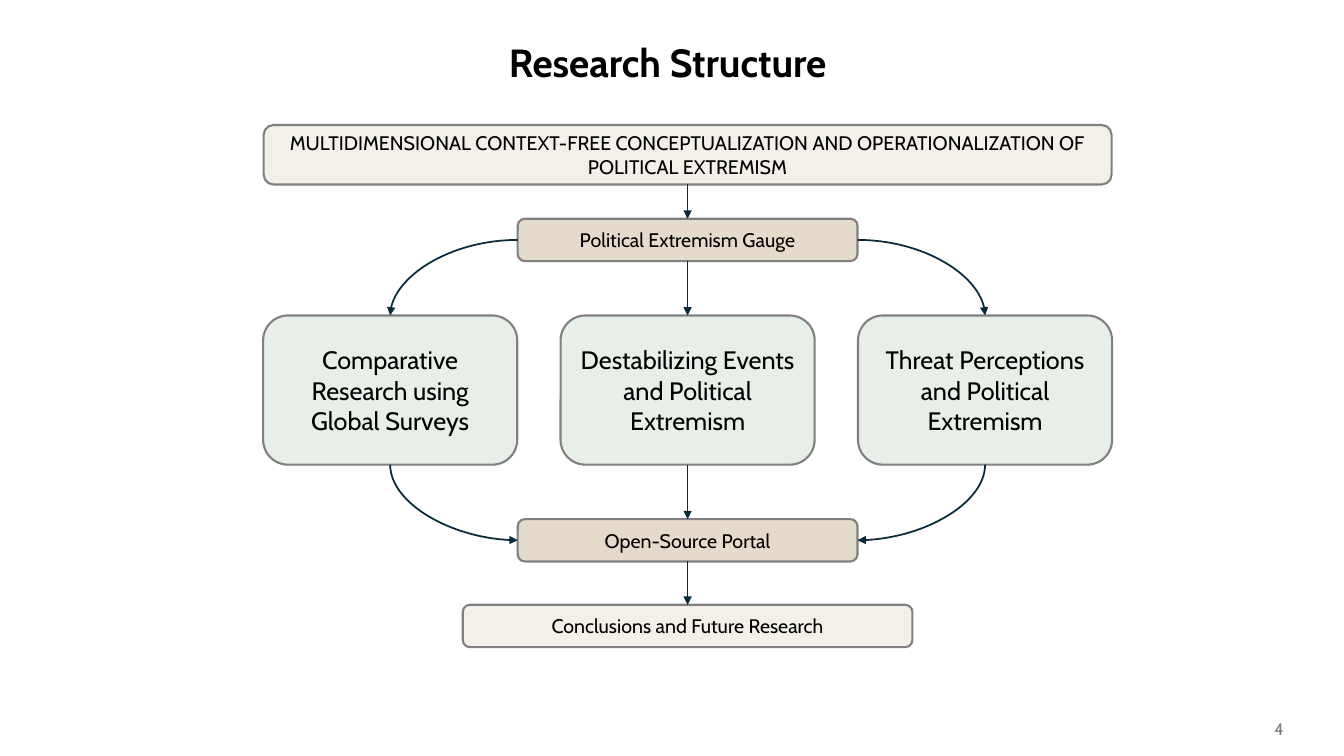
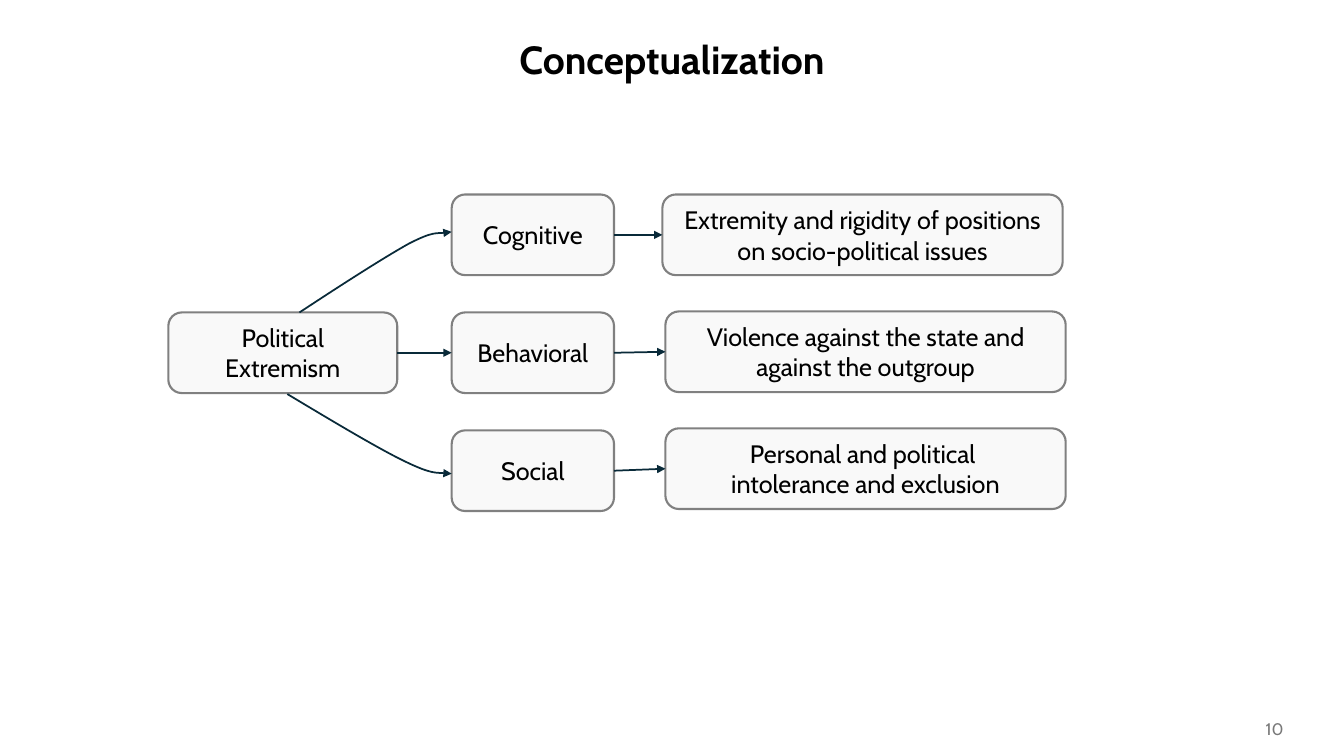
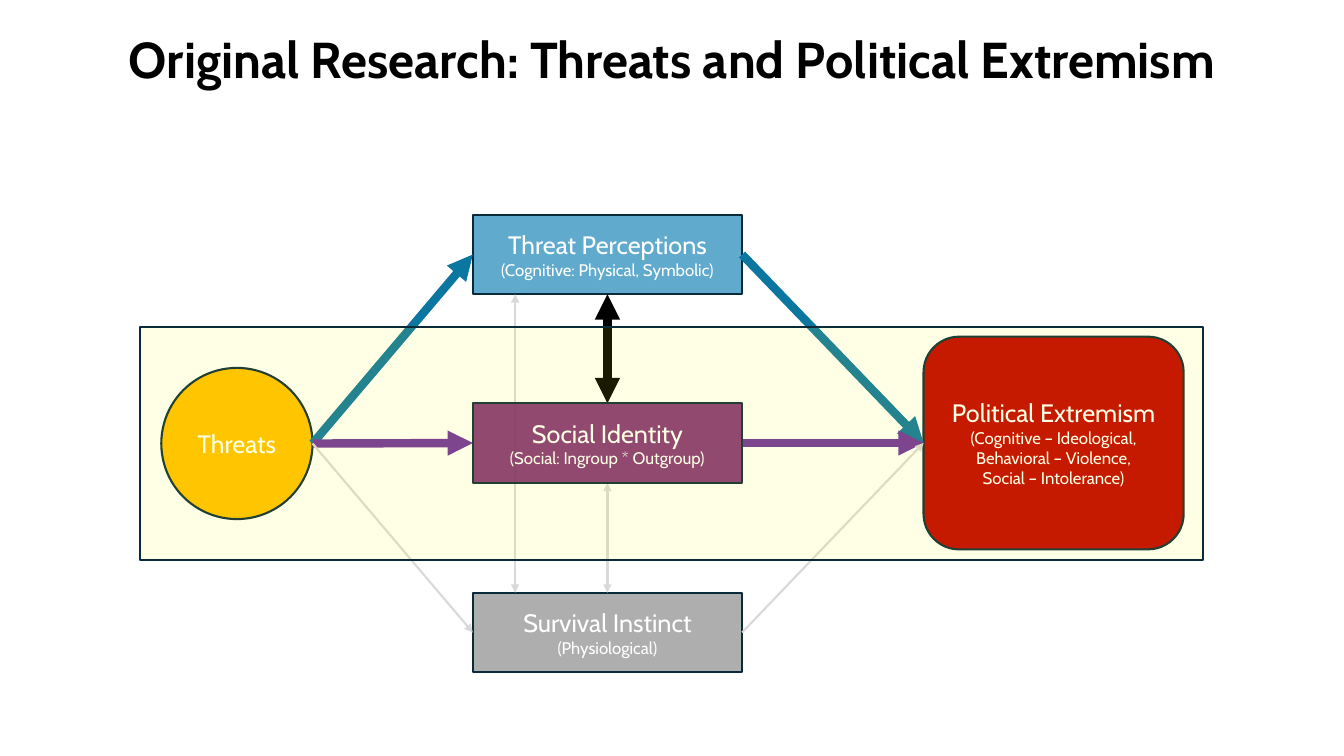
from dataclasses import dataclass

from lxml.etree import SubElement
from pptx import Presentation
from pptx.dml.color import RGBColor
from pptx.enum.shapes import MSO_CONNECTOR, MSO_SHAPE
from pptx.enum.text import MSO_ANCHOR, MSO_AUTO_SIZE, PP_ALIGN
from pptx.oxml.ns import qn
from pptx.util import Inches, Pt


@dataclass(frozen=True)
class Theme:
    font: str = "Cabin"
    black: str = "000000"
    white: str = "FFFFFF"
    navy: str = "092A39"
    outline: str = "808080"
    number: str = "797979"
    cream: str = "F2F0E8"
    sand: str = "E5DBCC"
    sage: str = "E8EEE8"
    mist: str = "F9F9F9"
    sky: str = "60ABCD"
    blue: str = "0B76A0"
    plum: str = "78206E"
    purple: str = "7030A0"
    gray: str = "AEAEAE"
    pale: str = "D9D9D9"
    gold: str = "FFC000"
    red: str = "C00000"
    yellow: str = "FFFF00"
    title: int = 28
    big_title: int = 36
    text: int = 18
    small: int = 14
    note: int = 12
    border: float = 1.5
    thin: float = 1.25
    thick: float = 6


THEME = Theme()
WIDTH, HEIGHT = 13.33, 7.5
TOP, LEFT, BOTTOM, RIGHT = range(4)
SITE_SHARES = ((0.5, 0), (0, 0.5), (0.5, 1), (1, 0.5))

# Research structure: bars are (text, top, width, height, fill)
AXIS, CARD_STEP = 6.82, 2.95
BARS = {
    "concept": ("MULTIDIMENSIONAL CONTEXT-FREE CONCEPTUALIZATION AND "
                "OPERATIONALIZATION OF POLITICAL EXTREMISM",
                1.24, 8.41, 0.59, THEME.cream),
    "gauge": ("Political Extremism Gauge", 2.17, 3.37, 0.42, THEME.sand),
    "portal": ("Open-Source Portal", 5.15, 3.37, 0.42, THEME.sand),
    "conclusions": ("Conclusions and Future Research", 6, 4.46, 0.42, THEME.cream),
}
CARDS = ["Comparative Research using Global Surveys",
         "Destabilizing Events and Political Extremism",
         "Threat Perceptions and Political Extremism"]
CARD_TOP, CARD_WIDTH, CARD_HEIGHT = 3.13, 2.52, 1.48

# Conceptualization: (dimension, outcome lines, outcome left, outcome top)
DIMENSIONS = [
    ("Cognitive", ["Extremity and rigidity of positions on socio-political issues"], 6.57, 1.93),
    ("Behavioral", ["Violence against the state and against the outgroup"], 6.6, 3.09),
    ("Social", ["Personal and political ", "intolerance and exclusion"], 6.6, 4.25),
]
DIMENSION_TOP, DIMENSION_STEP, DIMENSION_HEIGHT = 1.93, 1.17, 0.8
BRANCHES = [
    [(2.97, 3.1), (3.38, 2.83), (3.8, 2.56), (4.05, 2.42),
     (4.3, 2.29), (4.5, 2.31), (4.48, 2.3)],
    [(2.85, 3.91), (3.3, 4.18), (3.75, 4.45), (4.02, 4.58),
     (4.29, 4.71), (4.5, 4.7), (4.48, 4.7)],
]

# Threat model: (lines, frame, fill, shape)
RECT, ROUND, OVAL = MSO_SHAPE.RECTANGLE, MSO_SHAPE.ROUNDED_RECTANGLE, MSO_SHAPE.OVAL
FACTORS = {
    "perceptions": (["Threat Perceptions", "(Cognitive: Physical, Symbolic)"],
                    (4.69, 2.13, 2.67, 0.79), THEME.sky, RECT),
    "identity": (["Social Identity", "(Social: Ingroup * Outgroup)"],
                 (4.69, 4, 2.67, 0.79), THEME.plum, RECT),
    "instinct": (["Survival Instinct", "(Physiological)"],
                 (4.69, 5.88, 2.67, 0.79), THEME.gray, RECT),
    "threats": (["Threats"], (1.6, 3.65, 1.5, 1.5), THEME.gold, OVAL),
    "extremism": (["Political Extremism", "(Cognitive – Ideological,",
                   "Behavioral – Violence,", "Social – Intolerance)"],
                  (9.16, 3.34, 2.58, 2.11), THEME.red, ROUND),
}
PATHWAYS = [("perceptions", THEME.blue, THEME.thick),
            ("identity", THEME.purple, THEME.thick),
            ("instinct", THEME.pale, THEME.border)]
EXCHANGES = [("perceptions", "identity", THEME.black, THEME.thick),
             ("identity", "instinct", THEME.pale, THEME.border)]
BYPASS = [(5.11, 2.92), (5.11, 5.88)]
FOCUS_BAND = (1.39, 3.24, 10.54, 2.32)


def rgb(color):
    return RGBColor.from_string(color)


def style(para, size, color, align=PP_ALIGN.CENTER, bold=False):
    para.alignment = align
    para.font.name, para.font.size, para.font.bold = THEME.font, Pt(size), bold
    para.font.color.rgb = rgb(color)


def new_page(deck, title, number=None, size=THEME.title, top=0.4):
    page = deck.slides.add_slide(deck.slide_layouts[5])
    heading = page.shapes.title
    place(heading, 0, top, WIDTH, 0.43)
    heading.text_frame.text = title
    heading.text_frame.auto_size = MSO_AUTO_SIZE.NONE
    heading.text_frame.vertical_anchor = MSO_ANCHOR.MIDDLE
    para = heading.text_frame.paragraphs[0]
    para.line_spacing = 0.9
    style(para, size, THEME.black, bold=True)
    if number:
        box = page.shapes.add_textbox(*map(Inches, (9.83, 7.1, 3, 0.25)))
        box.text_frame.word_wrap = True
        box.text_frame.vertical_anchor = MSO_ANCHOR.MIDDLE
        box.text_frame.text = number
        style(box.text_frame.paragraphs[0], THEME.note, THEME.number, PP_ALIGN.RIGHT)
    return page


def place(shape, *frame):
    shape.left, shape.top, shape.width, shape.height = map(Inches, frame)


def add_box(page, frame, lines, fill, sizes=(THEME.text,), color=THEME.black,
            border=THEME.outline, kind=ROUND, opacity=100):
    """Draw a filled box; the last of sizes serves all further lines."""
    box = page.shapes.add_shape(kind, *map(Inches, frame))
    box.shadow.inherit = False
    box.fill.solid()
    box.fill.fore_color.rgb = rgb(fill)
    if opacity < 100:
        tint = next(box._element.spPr.iter(qn("a:srgbClr")))
        SubElement(tint, qn("a:alpha"), val=str(opacity * 1000))
    box.line.color.rgb = rgb(border)
    box.line.width = Pt(THEME.border)
    box.text_frame.word_wrap = True
    box.text_frame.vertical_anchor = MSO_ANCHOR.MIDDLE
    box.text_frame.text = "\n".join(lines)
    for index, para in enumerate(box.text_frame.paragraphs):
        style(para, sizes[min(index, len(sizes) - 1)], color)
    return box


def style_arrow(arrow, color, width, ends):
    arrow.line.color.rgb = rgb(color)
    arrow.line.width = Pt(width)
    properties = arrow._element.spPr
    for end in ends:
        SubElement(properties.get_or_add_ln(), qn(f"a:{end}"), type="triangle")
    SubElement(properties, qn("a:effectLst"))


def add_arrow(page, start, end, color=THEME.navy, width=THEME.thin,
              ends=("tailEnd",), curved=False):
    kind = MSO_CONNECTOR.CURVE if curved else MSO_CONNECTOR.STRAIGHT
    arrow = page.shapes.add_connector(kind, *start, *end)
    if curved:
        arrow._element.spPr.find(qn("a:prstGeom")).set("prst", "curvedConnector2")
    style_arrow(arrow, color, width, ends)
    return arrow


def site_point(shape, site):
    across, down = SITE_SHARES[site]
    return (int(shape.left + across * shape.width), int(shape.top + down * shape.height))


def link(page, first, first_site, second, second_site, **look):
    """Join two shapes; an oval numbers its sites differently and stays unglued."""
    arrow = add_arrow(page, site_point(first, first_site),
                      site_point(second, second_site), **look)
    if first.auto_shape_type != OVAL:
        arrow.begin_connect(first, first_site)
    arrow.end_connect(second, second_site)


def add_branch(page, points):
    """Draw an arrow along cubic curves, three points to each curve."""
    start, *rest = [tuple(map(Inches, point)) for point in points]
    builder = page.shapes.build_freeform(*start)
    builder.add_line_segments(rest, close=False)
    branch = builder.convert_to_shape()
    branch.fill.background()
    outline = next(branch._element.iter(qn("a:path")))
    segments = outline.findall(qn("a:lnTo"))
    for index, segment in enumerate(segments):
        if index % 3 == 0:
            curve = SubElement(outline, qn("a:cubicBezTo"))
        curve.append(segment[0])
        outline.remove(segment)
    style_arrow(branch, THEME.navy, THEME.thin, ["tailEnd"])


def build_structure(deck):
    page = new_page(deck, "Research Structure ", "4", top=0.43)
    bars = {name: add_box(page, (AXIS - width / 2, top, width, height), [text],
                          fill, (THEME.small,))
            for name, (text, top, width, height, fill) in BARS.items()}
    gauge, portal = bars["gauge"], bars["portal"]
    left, middle, right = [
        add_box(page, (AXIS + (index - 1) * CARD_STEP - CARD_WIDTH / 2, CARD_TOP,
                       CARD_WIDTH, CARD_HEIGHT), [text], THEME.sage)
        for index, text in enumerate(CARDS)]
    for upper, lower in [(bars["concept"], gauge), (gauge, middle),
                         (middle, portal), (portal, bars["conclusions"])]:
        link(page, upper, BOTTOM, lower, TOP)
    for card, side in [(left, LEFT), (right, RIGHT)]:
        link(page, gauge, side, card, TOP, curved=True)
        link(page, portal, side, card, BOTTOM, curved=True, ends=["headEnd"])


def build_concept(deck):
    page = new_page(deck, "Conceptualization", "10")
    root = add_box(page, (1.67, DIMENSION_TOP + DIMENSION_STEP, 2.27, DIMENSION_HEIGHT),
                   ["Political Extremism"], THEME.mist)
    dimensions = []
    for row, (name, lines, left, top) in enumerate(DIMENSIONS):
        dimension = add_box(page, (4.48, DIMENSION_TOP + row * DIMENSION_STEP,
                                   1.61, DIMENSION_HEIGHT), [name], THEME.mist)
        outcome = add_box(page, (left, top, 3.97, DIMENSION_HEIGHT), lines, THEME.mist)
        link(page, dimension, RIGHT, outcome, LEFT)
        dimensions.append(dimension)
    link(page, root, RIGHT, dimensions[1], LEFT)
    for points in BRANCHES:
        add_branch(page, points)


def build_threat_model(deck):
    page = new_page(deck, "Original Research: Threats and Political Extremism",
                    size=THEME.big_title)
    boxes = {name: add_box(page, frame, lines, fill, (THEME.text, THEME.note),
                           THEME.white, THEME.navy, kind,
                           opacity=90 if name == "identity" else 100)
             for name, (lines, frame, fill, kind) in FACTORS.items()}
    for name, color, width in PATHWAYS:
        link(page, boxes["threats"], RIGHT, boxes[name], LEFT, color=color, width=width)
    for name, color, width in PATHWAYS:
        link(page, boxes[name], RIGHT, boxes["extremism"], LEFT, color=color, width=width)
    both = ("headEnd", "tailEnd")
    for upper, lower, color, width in EXCHANGES:
        link(page, boxes[upper], BOTTOM, boxes[lower], TOP,
             color=color, width=width, ends=both)
    start, end = [tuple(map(Inches, point)) for point in BYPASS]
    add_arrow(page, start, end, THEME.pale, THEME.border, both)
    # The translucent identity box lies over the bypass arrow
    page.shapes._spTree.append(boxes["identity"]._element)
    add_box(page, FOCUS_BAND, [], THEME.yellow, border=THEME.navy, kind=RECT, opacity=10)


def main():
    deck = Presentation()
    deck.slide_width, deck.slide_height = Inches(WIDTH), Inches(HEIGHT)
    build_structure(deck)
    build_concept(deck)
    build_threat_model(deck)
    deck.save("out.pptx")


if __name__ == "__main__":
    main()
